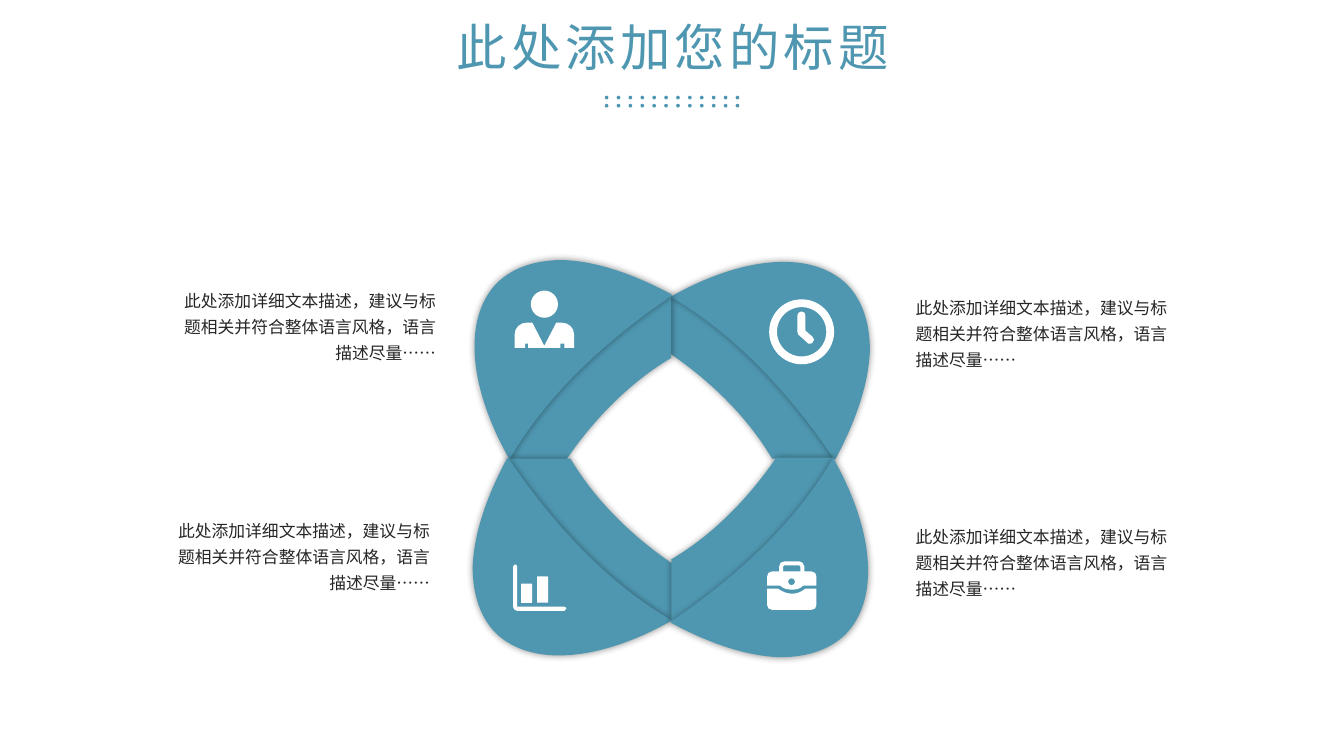
from dataclasses import dataclass
from math import cos, radians, sin

from lxml import etree
from pptx import Presentation
from pptx.dml.color import RGBColor
from pptx.enum.shapes import MSO_SHAPE
from pptx.enum.text import MSO_ANCHOR, MSO_AUTO_SIZE, PP_ALIGN
from pptx.oxml.ns import qn
from pptx.shapes.autoshape import Shape
from pptx.shapes.shapetree import GroupShapes, SlideShapes
from pptx.util import Pt

ELLIPSE, DONUT, ROUNDED = MSO_SHAPE.OVAL, MSO_SHAPE.DONUT, MSO_SHAPE.ROUNDED_RECTANGLE
LEFT, CENTER, RIGHT = PP_ALIGN.LEFT, PP_ALIGN.CENTER, PP_ALIGN.RIGHT
MIDDLE, TOP = MSO_ANCHOR.MIDDLE, MSO_ANCHOR.TOP
GROW = MSO_AUTO_SIZE.SHAPE_TO_FIT_TEXT

FONT = "Noto Sans CJK SC"
TEAL, WHITE, INK = "4F97B1", "FFFFFF", "262626"
HUB = (479.5, 327.6)
SAMPLES = 40
SEGMENT_TAGS = {"M": "a:moveTo", "L": "a:lnTo", "C": "a:cubicBezTo", "Z": "a:close"}
CAPTION = "此处添加详细文本描述，建议与标题相关并符合整体语言风格，语言描述尽量……"

Point = tuple[float, float]
Segment = tuple[str, list[Point]]


@dataclass
class Preset:
    kind: MSO_SHAPE
    left: float
    top: float
    width: float
    height: float
    adjustment: float | None = None


@dataclass
class TextBlock:
    text: str
    left: float
    top: float
    width: float
    height: float
    align: PP_ALIGN
    size: float = 12
    color: str = INK
    line_spacing: float = 1.3


@dataclass
class Quarter:
    outlines: list[str]
    presets: list[Preset]
    caption: TextBlock


# Blade outlines point straight up and are measured from the hub
BAND = """M 82.4 -82.4 L 50.9 -50.9 C 17.8 -59.5 -19.3 -59 -53.5 -52.5 L -82.4 -81.5 L -82 -82
    C -37.7 -93.7 11.2 -93.7 61.6 -86.1 Z"""
PETAL = """M 45.3 -155.3 C 61.1 -138.5 73.8 -113.6 83 -83 L 82.9 -82 L 62.1 -85.6
    C 11.7 -93.2 -37.2 -93.2 -81.5 -81.5 L -82 -81 L -81.5 -83.4
    C -65.7 -138.9 -34.6 -176.1 0.5 -176.7 C 16.8 -176.6 32 -168.5 45.3 -155.3 Z"""
# Icon outlines in page coordinates
CLOCK_HANDS = """M 578.9 245.5 C 577.4 245.5 576.7 245.5 576.7 244.8 L 570.2 239
    C 570.2 238.3 569.5 237.6 569.5 236.9 L 569.5 225.4 C 569.5 223.9 570.9 222.5 572.4 222.5
    C 574.6 222.5 575.3 223.9 575.3 225.4 L 575.3 236.2 L 580.3 240.5
    C 581.8 241.9 581.8 243.4 580.3 244.8 C 579.6 245.5 578.9 245.5 578.9 245.5 Z"""
PERSON_BODY = """M 375.1 248.4 L 375.1 245.5 L 377.3 245.5 L 377.3 248.4 L 400.3 248.4
    L 400.3 245.5 L 403.2 245.5 L 403.2 248.4 L 410.1 248.4 L 410.1 239
    C 410.1 234 406.1 230.4 401 230.4 L 397.4 230.4 L 388.8 247 L 380.2 230.4 L 376.6 230.4
    C 371.5 230.4 367.6 234 367.6 239 L 367.6 248.4 Z"""
CHART_AXES = """M 403.2 433.4 L 369.4 433.4 L 369.4 404.6 C 369.4 403.9 368.6 403.2 367.9 403.2
    C 367.2 403.2 366.5 403.9 366.5 404.6 L 366.5 433.4 C 366.5 434.9 367.9 436.3 369.4 436.3
    L 403.2 436.3 C 403.9 436.3 404.6 435.6 404.6 434.9 C 404.6 434.2 403.9 433.4 403.2 433.4 Z"""
CASE_BASE = """M 565.9 424.1 C 562.3 424.1 558.7 422.6 555.8 420.5 L 547.9 420.5 L 547.9 432
    C 547.9 434.2 549.4 435.6 551.5 435.6 L 579.6 435.6 C 581.8 435.6 583.2 434.2 583.2 432
    L 583.2 420.5 L 575.3 420.5 C 572.4 422.6 569.5 424.1 565.9 424.1 Z"""
CASE_LID = """M 579.6 408.2 L 574.6 408.2 L 574.6 404.6 C 574.6 402.5 572.4 401 571 401
    L 560.2 401 C 558 401 556.6 402.5 556.6 404.6 L 556.6 408.2 L 551.5 408.2
    C 549.4 408.2 547.9 409.7 547.9 411.8 L 547.9 418.3 L 557.3 418.3
    C 559.4 420.5 562.3 421.2 565.9 421.2 C 568.8 421.2 571.7 420.5 573.8 418.3 L 583.2 418.3
    L 583.2 411.8 C 583.2 409.7 581.8 408.2 579.6 408.2 Z
    M 559.4 404.6 C 559.4 403.9 560.2 403.9 560.2 403.9 L 571 403.9
    C 571 403.9 571.7 403.9 571.7 404.6 L 571.7 408.2 L 559.4 408.2 Z
    M 565.4 418 C 564 418 562.9 416.9 562.9 415.5 C 562.9 414.1 564 413 565.4 413
    C 566.8 413 567.9 414.1 567.9 415.5 C 567.9 416.9 566.8 418 565.4 418 Z"""

# Counterclockwise from the top right, each a quarter turn on
QUARTERS = [
    Quarter([CLOCK_HANDS], [Preset(DONUT, 549.4, 213.8, 46.4, 46.4, 0.12)],
            TextBlock(CAPTION, 646.9, 204.5, 198.7, 61.9, LEFT)),
    Quarter([PERSON_BODY], [Preset(ELLIPSE, 379.2, 207.6, 19.4, 19.4)],
            TextBlock(CAPTION, 119.9, 199.7, 198.7, 61.9, RIGHT)),
    Quarter([CHART_AXES], [Preset(ROUNDED, 372.2, 416.9, 7.9, 13.7, 0.05),
                           Preset(ROUNDED, 383.6, 411.8, 7.9, 18.7, 0.05)],
            TextBlock(CAPTION, 119.9, 363.8, 194.4, 61.9, RIGHT)),
    Quarter([CASE_BASE, CASE_LID], [],
            TextBlock(CAPTION, 646.9, 368.2, 198.7, 61.9, LEFT)),
]
TITLE = TextBlock("此处添加您的标题", 322.9, 11.2, 315.4, 43.9, CENTER, 36, TEAL, 1.0)


def rgb(value: str) -> RGBColor:
    return RGBColor.from_string(value)


def paint(shape: Shape, color: str) -> None:
    shape.shadow.inherit = False
    shape.fill.solid()
    shape.fill.fore_color.rgb = rgb(color)
    shape.line.fill.background()


def read_outline(outline: str) -> list[Segment]:
    tokens = iter(outline.split())
    counts = {"M": 1, "L": 1, "C": 3, "Z": 0}
    return [(command, [(float(next(tokens)), float(next(tokens))) for _ in range(counts[command])])
            for command in tokens]


def bounds(segments: list[Segment]) -> tuple[Point, Point]:
    """Top left and bottom right of the outline, with curves sampled."""
    reached: list[Point] = []
    for command, points in segments:
        if command == "C":
            curve = [reached[-1], *points]
            for step in range(1, SAMPLES + 1):
                t = step / SAMPLES
                weights = ((1 - t) ** 3, 3 * t * (1 - t) ** 2, 3 * t * t * (1 - t), t ** 3)
                reached.append((sum(w * x for w, (x, _) in zip(weights, curve)),
                                sum(w * y for w, (_, y) in zip(weights, curve))))
        else:
            reached += points
    xs, ys = zip(*reached)
    return (min(xs), min(ys)), (max(xs), max(ys))


def draw_outline(shapes: GroupShapes, outline: str, color: str, origin: Point = (0, 0)) -> Shape:
    segments = read_outline(outline)
    (left, top), (right, bottom) = bounds(segments)
    builder = shapes.build_freeform(Pt(left), Pt(top))
    builder.add_line_segments([(Pt(right), Pt(bottom))], close=False)
    shape = builder.convert_to_shape(Pt(origin[0]), Pt(origin[1]))
    paint(shape, color)
    # Fill the frame with true curves
    geometry = shape._element.spPr.find(".//" + qn("a:path"))
    for child in list(geometry):
        geometry.remove(child)
    for command, points in segments:
        segment = etree.SubElement(geometry, qn(SEGMENT_TAGS[command]))
        for x, y in points:
            etree.SubElement(segment, qn("a:pt"), x=str(Pt(x - left)), y=str(Pt(y - top)))
    return shape


def draw_blade_part(shapes: GroupShapes, outline: str, angle: float) -> None:
    shape = draw_outline(shapes, outline, TEAL, HUB)
    # Turn the part about the hub
    x = shape.left + shape.width / 2 - Pt(HUB[0])
    y = shape.top + shape.height / 2 - Pt(HUB[1])
    turn = radians(angle)
    shape.left = round(Pt(HUB[0]) + x * cos(turn) - y * sin(turn) - shape.width / 2)
    shape.top = round(Pt(HUB[1]) + x * sin(turn) + y * cos(turn) - shape.height / 2)
    shape.rotation = angle
    # Soft shadow
    effects = shape._element.spPr.find(qn("a:effectLst"))
    shadow = etree.SubElement(effects, qn("a:outerShdw"), blurRad=str(Pt(5)), dist="0",
                              algn="ctr", rotWithShape="0")
    black = etree.SubElement(shadow, qn("a:srgbClr"), val="000000")
    etree.SubElement(black, qn("a:alpha"), val="40000")


def draw_preset(shapes: GroupShapes, item: Preset, color: str) -> None:
    shape = shapes.add_shape(item.kind, Pt(item.left), Pt(item.top), Pt(item.width), Pt(item.height))
    paint(shape, color)
    if item.adjustment is not None:
        shape.adjustments[0] = item.adjustment


def draw_text(shapes: SlideShapes, block: TextBlock, frame_format: dict, spacing: float = 0) -> None:
    box = shapes.add_textbox(Pt(block.left), Pt(block.top), Pt(block.width), Pt(block.height))
    for name, value in frame_format.items():
        setattr(box.text_frame, name, value)
    para = box.text_frame.paragraphs[0]
    para.alignment, para.line_spacing = block.align, block.line_spacing
    span = para.add_run()
    span.text = block.text
    span.font.color.rgb = rgb(block.color)
    for name, value in {"size": Pt(block.size), "name": FONT}.items():
        setattr(span.font, name, value)
    properties = span._r.get_or_add_rPr()
    etree.SubElement(properties, qn("a:ea"), typeface=FONT)
    if spacing:
        properties.set("spc", str(round(spacing * 100)))


def main() -> None:
    deck = Presentation()
    deck.slide_width, deck.slide_height = Pt(960), Pt(540)
    page = deck.slides.add_slide(deck.slide_layouts[6])
    # Title and the two rows of dots below it
    margins = dict.fromkeys(("margin_left", "margin_top", "margin_right", "margin_bottom"), 0)
    draw_text(page.shapes, TITLE, {"word_wrap": False, "auto_size": GROW,
                                   "vertical_anchor": MIDDLE, **margins}, spacing=3)
    dots = page.shapes.add_group_shape().shapes
    for row in range(2):
        for column in range(12):
            draw_preset(dots, Preset(ELLIPSE, 432 + 8.5 * column, 68.4 + 5.8 * row, 2.6, 2.6), TEAL)
    # Four blades with their icons and captions
    for turns, quarter in enumerate(QUARTERS):
        group = page.shapes.add_group_shape().shapes
        for part in (BAND, PETAL):
            draw_blade_part(group, part, (45 - 90 * turns) % 360)
        for outline in quarter.outlines:
            draw_outline(group, outline, WHITE)
        for item in quarter.presets:
            draw_preset(group, item, WHITE)
        draw_text(page.shapes, quarter.caption,
                  {"word_wrap": True, "auto_size": GROW, "vertical_anchor": TOP})
    deck.save("out.pptx")


if __name__ == "__main__":
    main()
